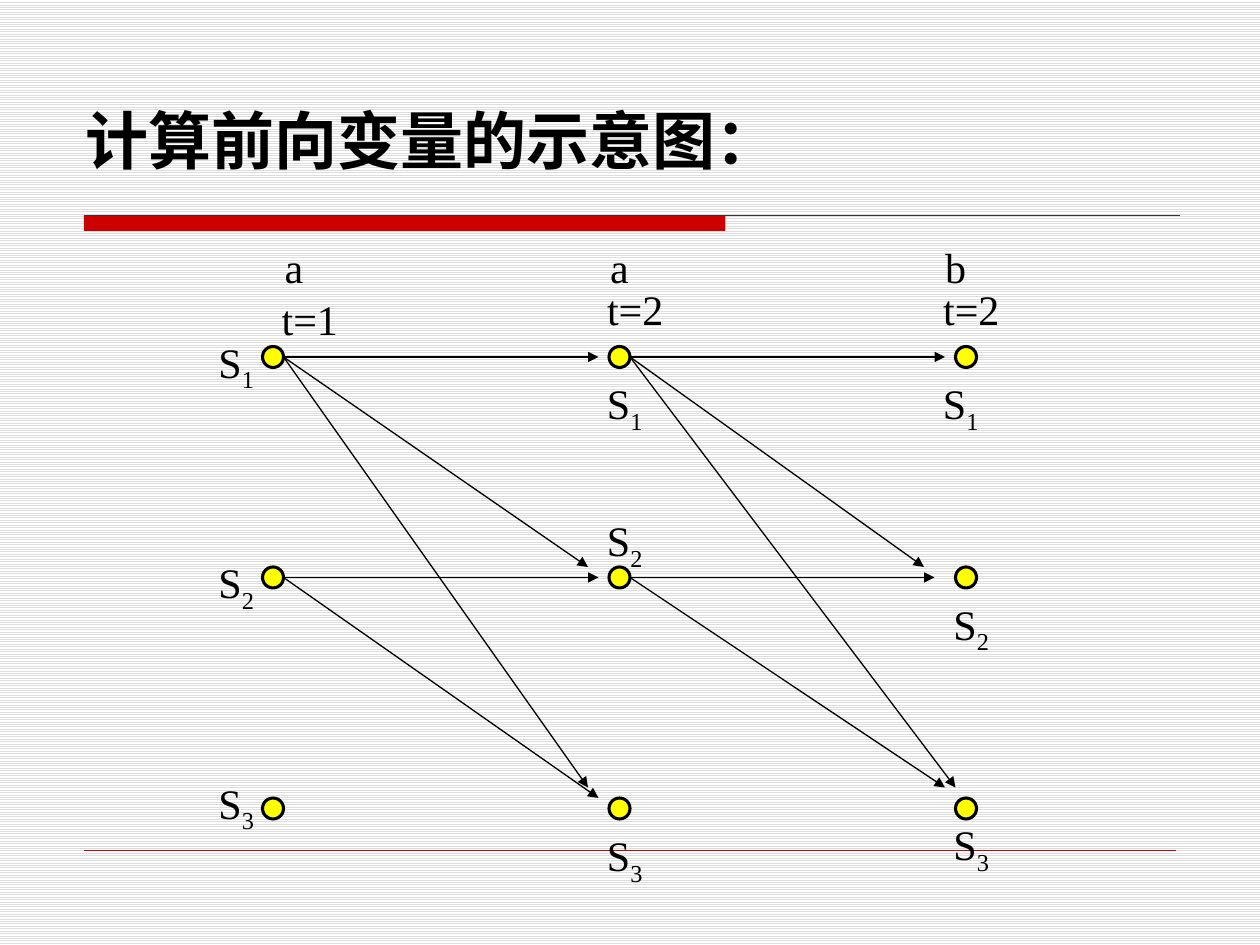
from dataclasses import dataclass

from lxml.etree import SubElement as Sub
from pptx import Presentation
from pptx.dml.color import RGBColor as RGB
from pptx.enum.dml import MSO_PATTERN as Pat
from pptx.enum.shapes import MSO_CONNECTOR as Conn, MSO_SHAPE as Kind
from pptx.enum.text import MSO_ANCHOR as Anchor, PP_ALIGN as Align
from pptx.oxml.ns import qn
from pptx.util import Pt


@dataclass(frozen=True)
class Theme:
    ink: RGB = RGB(0, 0, 0)
    red: RGB = RGB(0xCC, 0, 0)
    rule: RGB = RGB(0x33, 0x33, 0x33)
    node: RGB = RGB(0xFF, 0xFF, 0)
    stripe: RGB = RGB(0xDD, 0xDD, 0xDD)
    paper: RGB = RGB(0xFF, 0xFF, 0xFF)
    head: int = 36
    body: int = 24
    sans: str = "Noto Sans CJK SC"
    serif: str = "Times New Roman"


class Deck:
    def __init__(self, theme):
        self.theme = theme
        self.prs = Presentation()
        self.prs.slide_width, self.prs.slide_height = Pt(720), Pt(540)
        self.slide = self.prs.slides.add_slide(self.prs.slide_layouts[6])

    def paper(self):
        fill = self.slide.background.fill
        fill.patterned()
        fill.pattern = Pat.LIGHT_HORIZONTAL
        fill.fore_color.rgb = self.theme.stripe
        fill.back_color.rgb = self.theme.paper

    def shape(self, kind, box, fill, edge=None):
        item = self.slide.shapes.add_shape(kind, *map(Pt, box))
        item.shadow.inherit = False
        item.fill.solid()
        item.fill.fore_color.rgb = fill
        if edge:
            item.line.color.rgb = self.theme.ink
            item.line.width = Pt(edge)
        else:
            item.line.fill.background()

    def line(self, start, end, color, width=0.75, arrow=False):
        item = self.slide.shapes.add_connector(
            Conn.STRAIGHT, *map(Pt, (*start, *end)))
        item.line.color.rgb = color
        item.line.width = Pt(width)
        if arrow:
            Sub(item.line._get_or_add_ln(), qn("a:tailEnd"), type="triangle")
        Sub(item._element.spPr, qn("a:effectLst"))

    def text(self, box, words, size, face, sub="", bold=False,
             align=Align.CENTER, anchor=Anchor.TOP, inset=6):
        frame = self.slide.shapes.add_textbox(*map(Pt, box)).text_frame
        frame.word_wrap = True
        frame.vertical_anchor = anchor
        frame.margin_top = Pt(inset)
        para = frame.paragraphs[0]
        para.alignment = align
        font = para.font
        font.size, font.name, font.bold = Pt(size), face, bold
        font.color.rgb = self.theme.ink
        Sub(para._p.pPr.find(qn("a:defRPr")), qn("a:ea"), typeface=face)
        para.add_run().text = words
        if sub:
            low = para.add_run()
            low.text = sub
            low._r.get_or_add_rPr().set("baseline", "-25000")

    def label(self, left, top, width, words, sub=""):
        self.text((left, top, width, 36), words,
                  self.theme.body, self.theme.serif, sub)


def main():
    theme = Theme()
    deck = Deck(theme)

    # Background and rules
    deck.paper()
    deck.shape(Kind.RECTANGLE, (48, 123, 366.5, 9), theme.red)
    deck.line((48, 123), (674.5, 123), theme.rule)
    deck.line((48, 486), (672, 486), theme.red, 0.25)

    # Title
    deck.text((42, 54, 486, 51), "计算前向变量的示意图：", theme.head, theme.sans,
              bold=True, align=Align.LEFT, anchor=Anchor.BOTTOM, inset=3.6)

    # State nodes
    cols, rows, dot = (150, 348, 546), (198, 324, 456), 12
    for top in rows:
        for left in cols:
            deck.shape(Kind.OVAL, (left, top, dot, dot), theme.node, 1.75)

    # State labels: one list of places per time step
    places = (
        ((114, 186), (114, 312), (114, 438)),
        ((336, 210), (336, 288), (336, 468)),
        ((528, 210), (534, 336), (534, 462)),
    )
    for step in places:
        for num, (left, top) in enumerate(step, 1):
            deck.label(left, top, 42, "S", str(num))

    # Symbols and times
    for left, word in ((132, "a"), (318, "a"), (510, "b")):
        deck.label(left, 132, 72, word)
    for left, top, word in ((150, 162, "t=1"), (336, 156, "t=2"),
                            (528, 156, "t=2")):
        deck.label(left, top, 54, word)

    # Transitions: column, row and the arrow tips
    moves = (
        (0, 0, ((342, 204), (336, 324), (336, 450))),
        (0, 1, ((342, 330), (342, 456))),
        (1, 0, ((540, 204), (528, 324), (546, 450))),
        (1, 1, ((534, 330), (540, 450))),
    )
    for col, row, tips in moves:
        start = (cols[col] + dot, rows[row] + dot / 2)
        for tip in tips:
            deck.line(start, tip, theme.ink, arrow=True)

    deck.prs.save("out.pptx")


if __name__ == "__main__":
    main()
